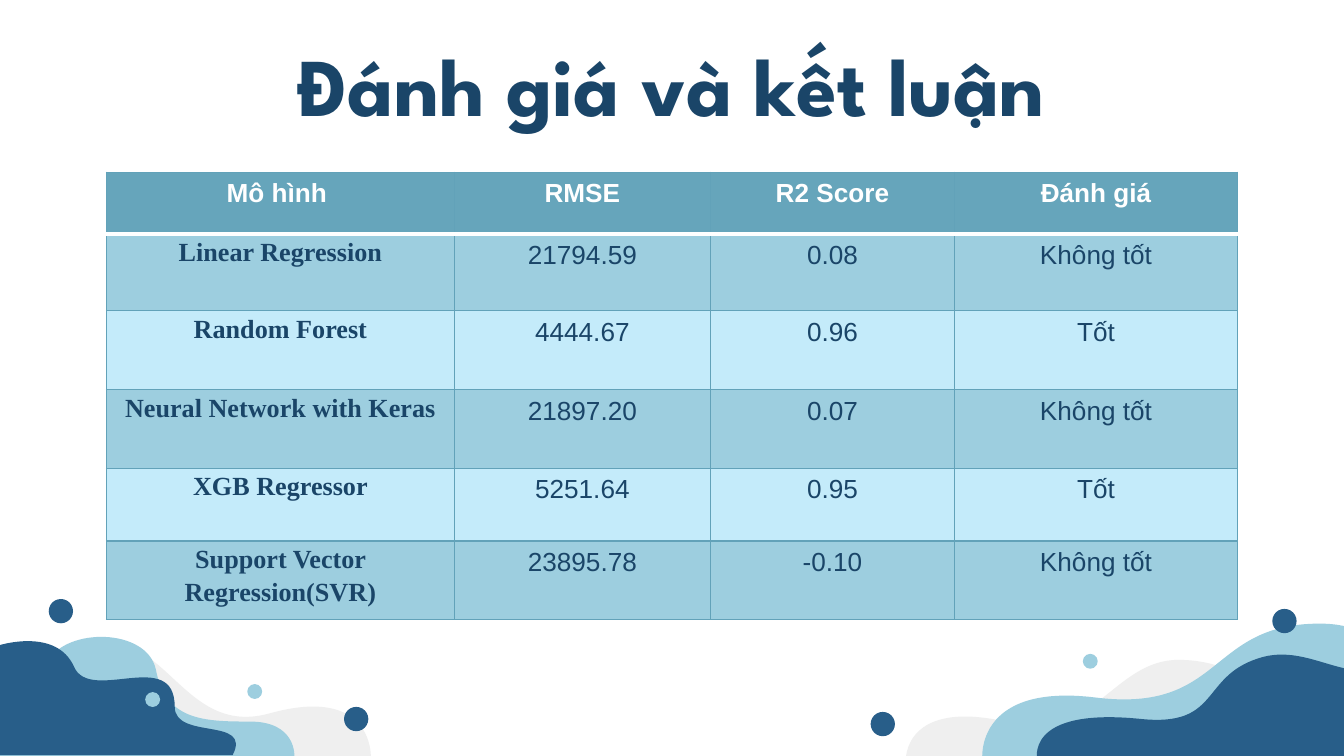
"""Build a slide with a table that compares regression models, framed by waves."""
import lxml.etree
import pptx
import pptx.dml.color
import pptx.enum.shapes
import pptx.enum.text
import pptx.oxml.ns
import pptx.util

Pt = pptx.util.Pt
RGBColor = pptx.dml.color.RGBColor
qn = pptx.oxml.ns.qn
CENTER = pptx.enum.text.PP_ALIGN.CENTER

WHITE = RGBColor(0xFF, 0xFF, 0xFF)
NAVY = RGBColor(0x1A, 0x45, 0x68)
DARK_BLUE = RGBColor(0x28, 0x5E, 0x89)
LIGHT_BLUE = RGBColor(0x9D, 0xCE, 0xDF)
PALE_BLUE = RGBColor(0xC4, 0xEB, 0xFA)
HEADER_BLUE = RGBColor(0x66, 0xA5, 0xBB)
BORDER_BLUE = RGBColor(0x62, 0xA2, 0xB9)
GREY = RGBColor(0xEF, 0xEF, 0xEF)

WAVES = [
    (GREY, (198.7, 405.4), [
        ((198.7, 405.4), (200.2, 366.5), (144, 382.3)),
        ((101.5, 393.8), (90.7, 344.2), (57.6, 344.2)),
        ((33.1, 344.2), (2.9, 358.6), (12.2, 405.4))]),
    (GREY, (485.3, 407.5), [
        ((485.3, 407.5), (483.8, 373), (542.2, 387.4)),
        ((586.1, 397.4), (596.9, 353.5), (631.4, 353.5)),
        ((656.6, 353.5), (688.3, 366.5), (679, 407.5))]),
    (LIGHT_BLUE, (526.3, 406.8), [
        ((526.3, 406.8), (522, 365.8), (586.8, 373.7)),
        ((655.9, 382.3), (646.6, 334.1), (707, 334.1)),
        ((756.7, 334.1), (733, 379.4), (776.2, 383.8)),
        ((820.1, 387.4), (810, 407.5), (810, 407.5))]),
    (LIGHT_BLUE, (157.7, 405.4), [
        ((157.7, 405.4), (159.1, 386.6), (133.9, 386.6)),
        ((108.7, 386.6), (88.6, 385.9), (83.5, 358.6)),
        ((78.5, 336.2), (35.3, 336.2), (25.9, 354.2)),
        ((16.6, 373), (0, 373), (0, 373)),
        ((0, 405.4),)]),
    (DARK_BLUE, (0, 345.6), [
        ((0, 345.6), (30.2, 336.2), (39.6, 357.1)),
        ((48.2, 377.3), (93.6, 346.3), (93.6, 378.7)),
        ((93.6, 396.7), (135.4, 383.8), (124.6, 404.6)),
        ((0, 404.6),)]),
    (DARK_BLUE, (555.8, 407.5), [
        ((555.8, 407.5), (547.9, 378.7), (611.3, 385.2)),
        ((653.8, 389.5), (643, 362.9), (673.9, 352.8)),
        ((703.4, 342.7), (726.5, 373.7), (752.4, 350.6)),
        ((752.4, 407.5),)]),
]
BIG_DOT, SMALL_DOT = 13, 8
DOTS = [
    (DARK_BLUE, BIG_DOT, [(184.3, 378.7), (26.1, 320.9), (681.6, 326.2), (466.4, 381.4)]),
    (LIGHT_BLUE, SMALL_DOT, [(77.8, 370.8), (132.5, 366.5), (580.1, 350.3)]),
]
COLUMN_WIDTHS = [186.5, 137, 131, 151.4]
ROW_HEIGHTS = [33.1, 41.2, 42.4, 42, 39, 42]
RESULTS = [
    ("Mô hình ", "RMSE", "R2 Score", "Đánh giá"),
    ("Linear Regression", "21794.59", "0.08", "Không tốt"),
    ("Random Forest", "4444.67", "0.96", "Tốt"),
    ("Neural Network with Keras", "21897.20", "0.07", "Không tốt"),
    ("XGB Regressor", "5251.64", "0.95", "Tốt"),
    ("Support Vector Regression(SVR)", "23895.78", "-0.10", "Không tốt"),
]


def style_shape(shape, color):
    """Give a shape a plain fill without line or shadow."""
    shape.shadow.inherit = False
    shape.fill.solid()
    shape.fill.fore_color.rgb = color
    shape.line.fill.background()


def bend_segments(shape, segments):
    """Turn each run of three straight steps into one cubic curve."""
    steps = iter(list(shape._element.iter(qn("a:lnTo"))))
    for segment in segments:
        group = [next(steps) for _ in segment]
        if len(group) == 3:
            curve = lxml.etree.Element(qn("a:cubicBezTo"))
            group[0].addprevious(curve)
            for step in group:
                curve.append(step[0])
                step.getparent().remove(step)


def add_wave(slide, color, start, segments):
    """Draw a closed outline made of curves and straight lines."""
    points = [(Pt(x), Pt(y)) for segment in segments for x, y in segment]
    builder = slide.shapes.build_freeform(Pt(start[0]), Pt(start[1]))
    builder.add_line_segments(points, close=True)
    shape = builder.convert_to_shape()
    bend_segments(shape, segments)
    style_shape(shape, color)


def add_dot(slide, color, size, left, top):
    """Draw a filled circle."""
    shape = slide.shapes.add_shape(pptx.enum.shapes.MSO_SHAPE.OVAL,
                                   Pt(left), Pt(top), Pt(size), Pt(size))
    style_shape(shape, color)


def format_paragraph(paragraph, font_name, size, color, bold):
    """Centre a paragraph and set the font of its runs."""
    paragraph.alignment = CENTER
    for run in paragraph.runs:
        run.font.name = font_name
        run.font.size = Pt(size)
        run.font.color.rgb = color
        run.font.bold = bold


def add_title(slide, text):
    """Add the slide heading."""
    shape = slide.shapes.add_textbox(Pt(112.3), Pt(11.2), Pt(496), Pt(45.4))
    text_frame = shape.text_frame
    text_frame.word_wrap = True
    text_frame.margin_left = text_frame.margin_right = Pt(7.2)
    text_frame.margin_top = text_frame.margin_bottom = Pt(7.2)
    text_frame.text = text
    format_paragraph(text_frame.paragraphs[0], "League Spartan", 44, NAVY, True)


def set_border(cell, side, color, width):
    """Draw one side of a cell: L, R, T or B."""
    properties = cell._tc.get_or_add_tcPr()
    line = lxml.etree.SubElement(properties, qn(f"a:ln{side}"), w=str(Pt(width)))
    fill = lxml.etree.SubElement(line, qn("a:solidFill"))
    lxml.etree.SubElement(fill, qn("a:srgbClr"), val=str(color))


def format_cell(cell, row, column):
    """Style a cell by its place in the table."""
    white_sides = {0: "B", 1: "T"}.get(row, "")
    for side in "LRTB":
        color, width = (WHITE, 2) if side in white_sides else (BORDER_BLUE, 0.75)
        set_border(cell, side, color, width)
    cell.fill.solid()
    is_header = row == 0
    band = LIGHT_BLUE if row % 2 else PALE_BLUE
    cell.fill.fore_color.rgb = HEADER_BLUE if is_header else band
    is_model = column == 0 and not is_header
    paragraph = cell.text_frame.paragraphs[0]
    format_paragraph(paragraph, "Times New Roman" if is_model else "Arial", 14,
                     WHITE if is_header else NAVY, is_header or is_model)
    if is_model:
        paragraph.line_spacing = 1.15
        cell.margin_left = cell.margin_right = Pt(8.6)
        cell.margin_top = cell.margin_bottom = Pt(0)


def add_results_table(slide):
    """Add the table of model scores."""
    frame = slide.shapes.add_table(len(RESULTS), len(COLUMN_WIDTHS), Pt(57), Pt(92.2),
                                   Pt(sum(COLUMN_WIDTHS)), Pt(sum(ROW_HEIGHTS)))
    table = frame.table
    table.horz_banding = False
    for column, width in zip(table.columns, COLUMN_WIDTHS):
        column.width = Pt(width)
    for row, height in zip(table.rows, ROW_HEIGHTS):
        row.height = Pt(height)
    for row_index, texts in enumerate(RESULTS):
        for column_index, text in enumerate(texts):
            cell = table.cell(row_index, column_index)
            cell.text_frame.text = text
            format_cell(cell, row_index, column_index)


def main():
    """Build and save the presentation."""
    presentation = pptx.Presentation()
    presentation.slide_width = Pt(720)
    presentation.slide_height = Pt(405)
    slide = presentation.slides.add_slide(presentation.slide_layouts[6])
    for color, start, segments in WAVES:
        add_wave(slide, color, start, segments)
    for color, size, places in DOTS:
        for left, top in places:
            add_dot(slide, color, size, left, top)
    add_title(slide, "Đánh giá và kết luận")
    add_results_table(slide)
    presentation.save("out.pptx")


if __name__ == "__main__":
    main()
